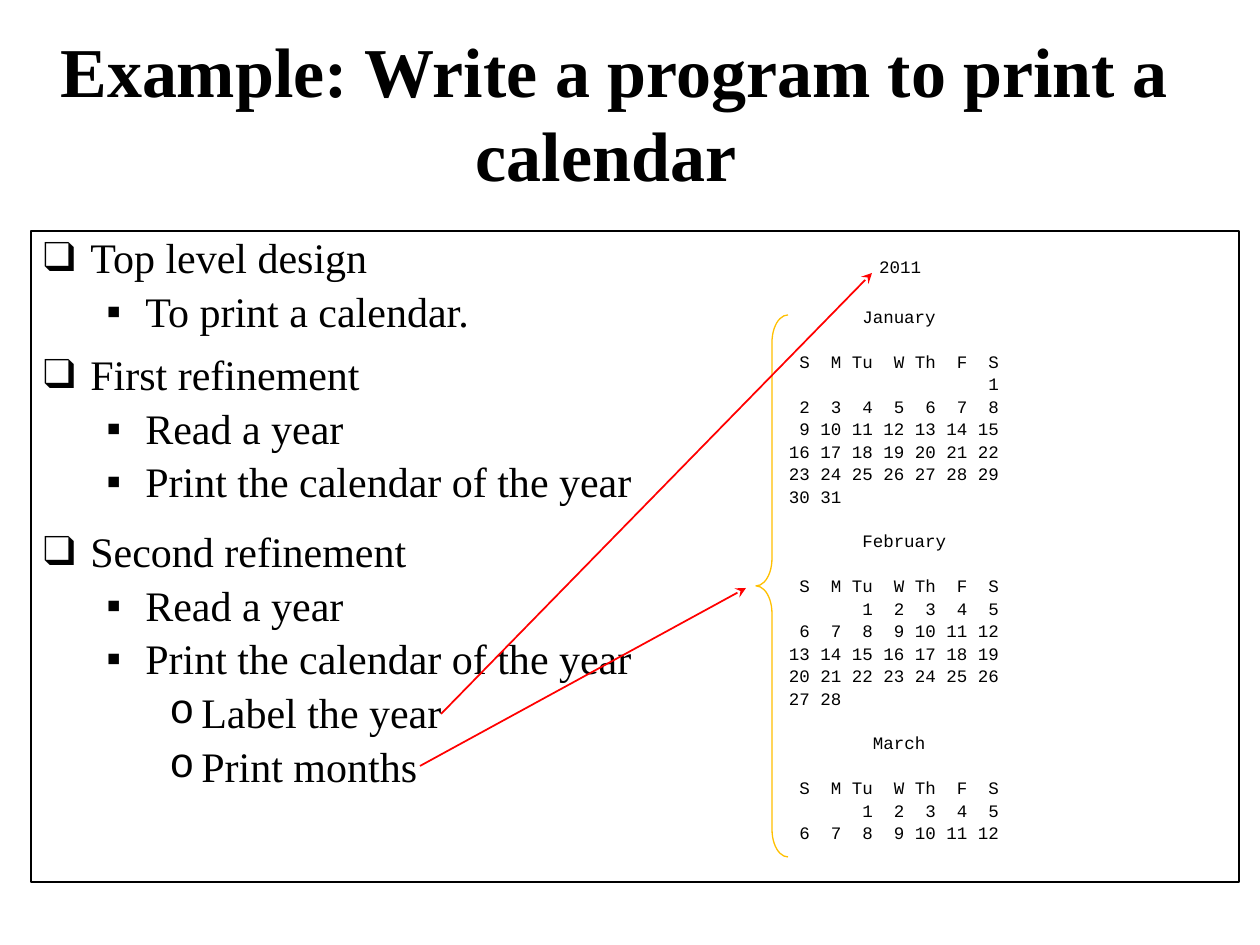
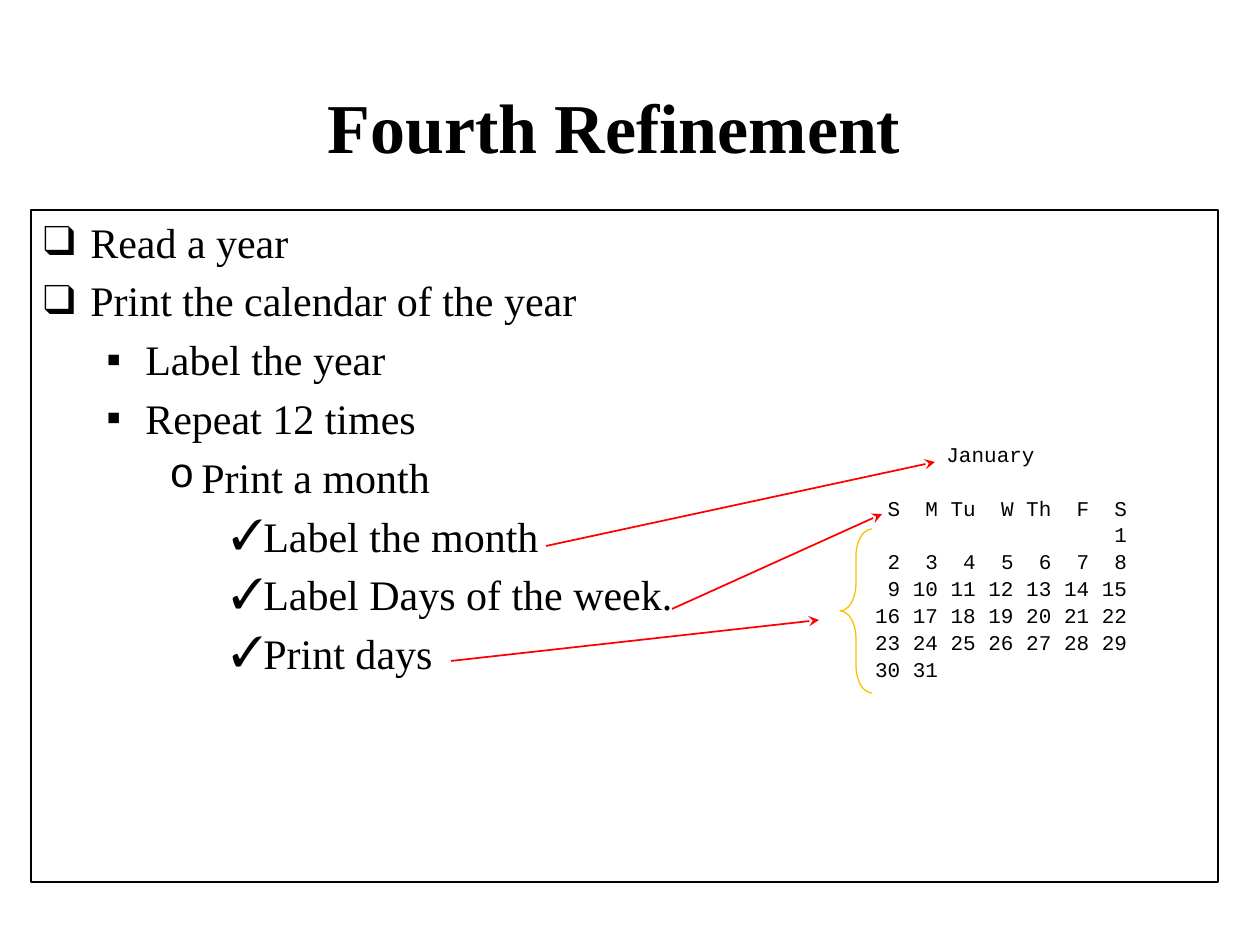
from lxml import etree
from pptx import Presentation
from pptx.dml.color import RGBColor
from pptx.enum import shapes, text
from pptx.oxml.ns import qn
from pptx.util import Emu, Pt

PX = 914400 / 126
COLORS = {"ink": "000000", "arrow": "FF0000", "brace": "FFC000"}
SERIF, MONO = "Times New Roman", "Courier New"

# Bullet, its font, left margin and hanging indent (px) for each level
LEVELS = [("❑", SERIF, 47, 47), ("▪", SERIF, 102, 39),
          ("o", MONO, 158, 32), ("✓", SERIF, 220, 32)]

WEEKDAYS = "S M Tu W Th F S".split()
# Month, name's first character column, weekday of day 1, last day shown
JANUARY = ("January", 8, 6, 31)
FEBRUARY = ("February", 8, 2, 28)
MARCH = ("March", 9, 2, 12)

# Boxes are (left, top, width, height) in px; arrows run from text to target
SLIDES = [
    {
        "title": "Example: Write a program to print a calendar ",
        "title_box": (42, 13, 1144, 197),
        "frame": (31, 231, 1208, 651),
        "spacing": 0.9,
        "outlines": [
            ((31, 231, 1208, 110),
             [(0, "Top level design"), (1, "To print a calendar.")]),
            ((31, 348, 1208, 176),
             [(0, "First refinement"), (1, "Read a year"),
              (1, "Print the calendar of the year")]),
            ((31, 525, 1208, 325),
             [(0, "Second refinement"), (1, "Read a year"),
              (1, "Print the calendar of the year"),
              (2, "Label the year"), (2, "Print months")]),
        ],
        "calendar": {"box": (766, 252, 284, 618), "size": 10, "year": "2011",
                     "months": [JANUARY, FEBRUARY, MARCH]},
        "brace": (756, 315, 32, 542),
        "arrows": [(441, 714, 872, 273), (420, 766, 746, 588)],
    },
    {
        "title": "Fourth Refinement",
        "title_box": (42, 73, 1144, 105),
        "frame": (31, 210, 1187, 672),
        "spacing": 1.0,
        "outlines": [
            ((31, 210, 1187, 672),
             [(0, "Read a year"), (0, "Print the calendar of the year"),
              (1, "Label the year"), (1, "Repeat 12 times"),
              (2, "Print a month"), (3, "Label the month"),
              (3, "Label Days of the week."), (3, "Print days")]),
        ],
        "calendar": {"box": (850, 438, 357, 265), "size": 12, "year": None,
                     "months": [JANUARY]},
        "brace": (840, 529, 32, 164),
        "arrows": [(546, 546, 935, 462), (672, 609, 882, 514),
                   (451, 661, 819, 620)],
    },
]


def px(*values):
    return [Emu(round(v * PX)) for v in values]


def rgb(name):
    return RGBColor.from_string(COLORS[name])


def add_box(slide, box):
    tf = slide.shapes.add_textbox(*px(*box)).text_frame
    tf.word_wrap = True
    return tf


def add_paragraph(tf, first, spacing, before):
    p = tf.paragraphs[0] if first else tf.add_paragraph()
    p.line_spacing = spacing
    p.space_before = Pt(0 if first else before)
    return p


def add_run(p, words, size, font, bold=False):
    r = p.add_run()
    r.text = words
    r.font.size, r.font.name, r.font.bold = Pt(size), font, bold
    r.font.color.rgb = rgb("ink")


def set_bullet(p, level):
    char, font, margin, hang = LEVELS[level]
    p.level = level
    pPr = p._p.get_or_add_pPr()
    pPr.set("marL", str(px(margin)[0]))
    pPr.set("indent", str(px(-hang)[0]))
    color = etree.SubElement(pPr, qn("a:buClr"))
    etree.SubElement(color, qn("a:srgbClr"), val=COLORS["ink"])
    etree.SubElement(pPr, qn("a:buFont"), typeface=font)
    etree.SubElement(pPr, qn("a:buChar"), char=char)


def add_title(slide, words, box):
    tf = add_box(slide, box)
    tf.vertical_anchor = text.MSO_ANCHOR.MIDDLE
    p = tf.paragraphs[0]
    p.alignment = text.PP_ALIGN.CENTER
    add_run(p, words, 40, SERIF, bold=True)


def add_preset(slide, kind, box, color):
    s = slide.shapes.add_shape(kind, *px(*box))
    s.shadow.inherit = False
    s.fill.background()
    s.line.color.rgb = rgb(color)
    s.line.width = Pt(0.75)
    return s


def add_outline(slide, box, items, spacing):
    tf = add_box(slide, box)
    for i, (level, words) in enumerate(items):
        p = add_paragraph(tf, i == 0, spacing, 4.8)
        set_bullet(p, level)
        add_run(p, words, 24, SERIF)


def month_rows(first_weekday, last_day):
    """Weeks as {column: label}, headed by the weekday names."""
    rows = [dict(enumerate(WEEKDAYS))]
    for day in range(1, last_day + 1):
        column = (first_weekday + day - 1) % 7
        if day == 1 or column == 0:
            rows.append({})
        rows[-1][column] = str(day)
    return rows


def add_calendar(slide, box, size, year, months):
    tf = add_box(slide, box)
    char = 0.6 * size                       # width of one character, pt
    before, gap = 0.2 * size, 1.48 * size   # between rows, between blocks

    def add_label(words, indent, first, space):
        p = add_paragraph(tf, first, 0.9, space)
        p._p.get_or_add_pPr().set("marL", str(Pt(indent)))
        add_run(p, words, size, MONO)

    if year:
        add_label(year, 57.6, True, 0)
    for m, (name, column, first_weekday, last_day) in enumerate(months):
        # Names sit on a 10 pt grid; the first follows the taller year line
        add_label(name, column * 6, m == 0 and not year,
                  gap if m else 17.8)
        for i, row in enumerate(month_rows(first_weekday, last_day)):
            p = add_paragraph(tf, False, 0.9, before if i else gap)
            tabs = etree.SubElement(p._p.get_or_add_pPr(), qn("a:tabLst"))
            for col in row:
                etree.SubElement(tabs, qn("a:tab"), algn="r",
                                 pos=str(Pt(3 * char * (col + 1))))
            add_run(p, "".join("\t" + label for label in row.values()),
                    size, MONO)


def add_arrow(slide, ends):
    c = slide.shapes.add_connector(shapes.MSO_CONNECTOR.STRAIGHT, *px(*ends))
    c.line.color.rgb = rgb("arrow")
    c.line.width = Pt(1)
    etree.SubElement(c.line._get_or_add_ln(), qn("a:tailEnd"), type="stealth")
    etree.SubElement(c._element.spPr, qn("a:effectLst"))


def main():
    prs = Presentation()
    prs.slide_width, prs.slide_height = px(1260, 945)
    for content in SLIDES:
        slide = prs.slides.add_slide(prs.slide_layouts[6])
        add_title(slide, content["title"], content["title_box"])
        add_preset(slide, shapes.MSO_SHAPE.RECTANGLE, content["frame"], "ink")
        for box, items in content["outlines"]:
            add_outline(slide, box, items, content["spacing"])
        add_calendar(slide, **content["calendar"])
        brace = add_preset(slide, shapes.MSO_SHAPE.LEFT_BRACE,
                           content["brace"], "brace")
        brace.adjustments[0] = 0.86
        for ends in content["arrows"]:
            add_arrow(slide, ends)
    prs.save("out.pptx")


if __name__ == "__main__":
    main()
